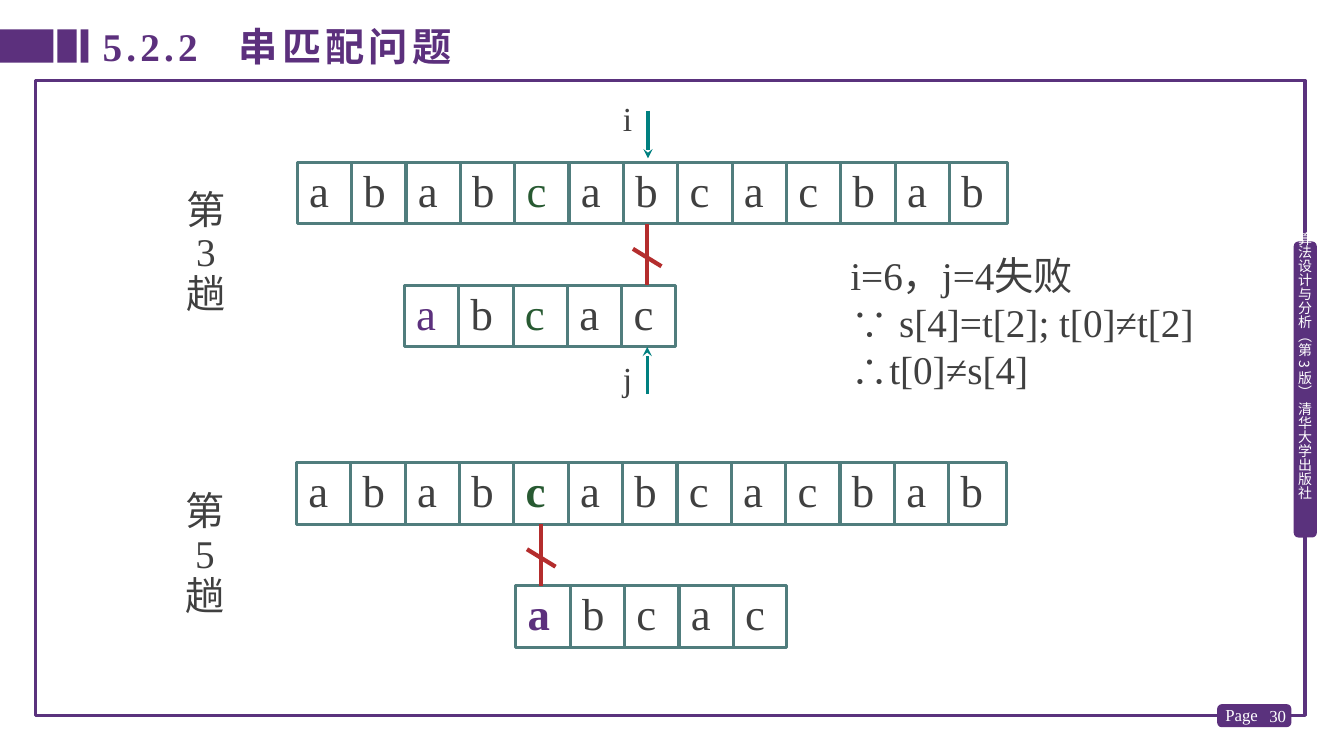
from lxml.etree import SubElement
from pptx import Presentation
from pptx.dml.color import RGBColor
from pptx.enum.shapes import MSO_CONNECTOR, MSO_SHAPE
from pptx.enum.text import MSO_ANCHOR, PP_ALIGN
from pptx.oxml.ns import qn
from pptx.util import Cm, Pt

PURPLE = RGBColor(0x5C, 0x30, 0x7D)
FRAME_PURPLE = RGBColor(0x5A, 0x32, 0x7D)
TEAL = RGBColor(0x50, 0x7D, 0x7D)
ARROW_TEAL = RGBColor(0x00, 0x80, 0x80)
RED = RGBColor(0xB4, 0x2D, 0x2D)
GREEN = RGBColor(0x28, 0x5A, 0x32)
GREY = RGBColor(0x40, 0x40, 0x40)
WHITE = RGBColor(0xFF, 0xFF, 0xFF)
SERIF, HAN = "Times New Roman", "Noto Sans CJK SC"
CELL = 1.37
CELL_HEIGHT = 1.55

deck = Presentation()
deck.slide_width, deck.slide_height = Cm(33.87), Cm(19.05)
page = deck.slides.add_slide(deck.slide_layouts[6])


def write(shape, paragraphs, size, font=SERIF, tabs=(), para_format=None, **frame_format):
    """Fill a shape with paragraphs, each a list of (text, colour, bold) runs."""
    frame = shape.text_frame
    for name, value in {"word_wrap": True, "vertical_anchor": MSO_ANCHOR.TOP, **frame_format}.items():
        setattr(frame, name, value)
    for number, runs in enumerate(paragraphs):
        para = frame.paragraphs[0] if number == 0 else frame.add_paragraph()
        if tabs:
            tab_list = SubElement(para._p.get_or_add_pPr(), qn("a:tabLst"))
            for stop in tabs:
                SubElement(tab_list, qn("a:tab"), pos=str(Cm(stop)), algn="l")
        for name, value in {"alignment": PP_ALIGN.LEFT, **(para_format or {})}.items():
            setattr(para, name, value)
        for text, colour, bold in runs:
            span = para.add_run()
            span.text = text
            for name, value in {"name": font, "size": Pt(size), "bold": bold}.items():
                setattr(span.font, name, value)
            span.font.color.rgb = colour
            SubElement(span._r.get_or_add_rPr(), qn("a:ea"), typeface=HAN)


def draw_line(x1, y1, x2, y2, colour, width, arrow=False):
    line = page.shapes.add_connector(MSO_CONNECTOR.STRAIGHT, Cm(x1), Cm(y1), Cm(x2), Cm(y2))
    line.line.color.rgb = colour
    line.line.width = Pt(width)
    if arrow:
        SubElement(line.line._get_or_add_ln(), qn("a:tailEnd"), type="stealth")
    SubElement(line._element.spPr, qn("a:effectLst"))


# Frame, title bars and footer tabs
for kind, left, top, width, height, fill, outline, weight in [
    (MSO_SHAPE.RECTANGLE, 0.89, 2.03, 32, 16, None, FRAME_PURPLE, 2.25),
    (MSO_SHAPE.ROUNDED_RECTANGLE, 30.71, 17.78, 1.8, 0.51, FRAME_PURPLE, PURPLE, 2),
    (MSO_SHAPE.RECTANGLE, 0, 0.74, 1.35, 0.84, PURPLE, None, 0),
    (MSO_SHAPE.RECTANGLE, 1.45, 0.74, 0.48, 0.84, PURPLE, None, 0),
    (MSO_SHAPE.RECTANGLE, 2.03, 0.74, 0.2, 0.84, PURPLE, None, 0),
    (MSO_SHAPE.ROUNDED_RECTANGLE, 32.64, 6.12, 0.51, 7.39, FRAME_PURPLE, PURPLE, 2),
]:
    block = page.shapes.add_shape(kind, Cm(left), Cm(top), Cm(width), Cm(height))
    block.shadow.inherit = False
    if fill is None:
        block.fill.background()
    else:
        block.fill.solid()
        block.fill.fore_color.rgb = fill
    if outline is None:
        block.line.fill.background()
    else:
        block.line.color.rgb = outline
        block.line.width = Pt(weight)

number_box = page.shapes.add_textbox(Cm(31.62), Cm(17.53), Cm(1.04), Cm(1.02))
write(number_box, [[("30", WHITE, False)]], 12, vertical_anchor=MSO_ANCHOR.MIDDLE,
      para_format={"alignment": PP_ALIGN.RIGHT})
page_box = page.shapes.add_textbox(Cm(30.63), Cm(17.63), Cm(1.35), Cm(0.79))
write(page_box, [[("Page", WHITE, False)]], 12, word_wrap=False)

no_margins = dict.fromkeys(["margin_left", "margin_right", "margin_top", "margin_bottom"], 0)
book_box = page.shapes.add_textbox(Cm(32.66), Cm(5.84), Cm(0.43), Cm(7.98))
write(book_box, [[("算法设计与分析（第 3 版） 清华大学出版社", WHITE, False)]], 10, font=HAN, **no_margins)
book_box.text_frame._txBody.bodyPr.set("vert", "eaVert")

title_box = page.shapes.add_textbox(Cm(2.34), Cm(0.43), Cm(21.97), Cm(1.45))
write(title_box, [[("5.2.2\t串匹配问题", PURPLE, True)]], 28, tabs=[3.43])
for span in title_box.text_frame.paragraphs[0].runs:
    span.font._element.set("spc", "300")

# Strings s and t as strips of cells
S_START, S_END = "a\tb\ta\tb\t", "\ta\tb\tc\ta\tc\tb\ta\tb"
for left, top, width, count, runs in [
    (7.49, 4.09, 17.9, 13, [(S_START, GREY, False), ("c", GREEN, False), (S_END, GREY, False)]),
    (10.19, 7.19, 6.83, 5, [("a", PURPLE, False), ("\tb\t", GREY, False),
                            ("c", GREEN, False), ("\ta\tc", GREY, False)]),
    (7.47, 11.66, 17.9, 13, [(S_START, GREY, False), ("c", GREEN, True), (S_END, GREY, False)]),
    (13, 14.76, 6.83, 5, [("a", PURPLE, True), ("\tb\tc\ta\tc", GREY, False)]),
]:
    strip = page.shapes.add_shape(MSO_SHAPE.RECTANGLE, Cm(left), Cm(top), Cm(width), Cm(CELL_HEIGHT))
    strip.shadow.inherit = False
    strip.fill.background()
    strip.line.color.rgb = TEAL
    strip.line.width = Pt(2.25)
    steps = [CELL * step for step in range(1, count)]
    write(strip, [runs], 32, tabs=steps, para_format={"alignment": PP_ALIGN.JUSTIFY},
          margin_left=Cm(0.3), margin_right=Cm(0.05), margin_top=0, margin_bottom=0)
    for step in steps:
        draw_line(left + step, top, left + step, top + CELL_HEIGHT, TEAL, 2.25)

# Pass labels
for left, top, digit in [(4.45, 4.67, "3"), (4.42, 12.27, "5")]:
    pass_box = page.shapes.add_textbox(Cm(left), Cm(top), Cm(1.8), Cm(3.45))
    write(pass_box, [[(text, GREY, False)] for text in ("第", " " + digit, "趟")], 28,
          para_format={"line_spacing": 0.9})

# Mismatch marks between the strings
for x, top in [(16.31, 5.64), (13.64, 13.21)]:
    draw_line(x, top, x, top + CELL_HEIGHT, RED, 3)
    draw_line(x - 0.36, top + 0.63, x + 0.36, top + 1.07, RED, 3)

# Index pointers
for name, x, tail_y, head_y, label_top in [("i", 16.33, 2.79, 3.99, 2.34), ("j", 16.31, 9.93, 8.74, 8.89)]:
    draw_line(x, tail_y, x, head_y, ARROW_TEAL, 2.25, arrow=True)
    index_box = page.shapes.add_textbox(Cm(15.7), Cm(label_top), Cm(0.64), Cm(1.27))
    write(index_box, [[(name, GREY, False)]], 24, margin_left=0, margin_right=0)

reason_box = page.shapes.add_textbox(Cm(21.18), Cm(6.2), Cm(9.73), Cm(3.84))
reasons = ["i=6，j=4失败", "∵ s[4]=t[2]; t[0]≠t[2]", "∴t[0]≠s[4]"]
write(reason_box, [[(reason, GREY, False)] for reason in reasons], 28)

deck.save("out.pptx")
